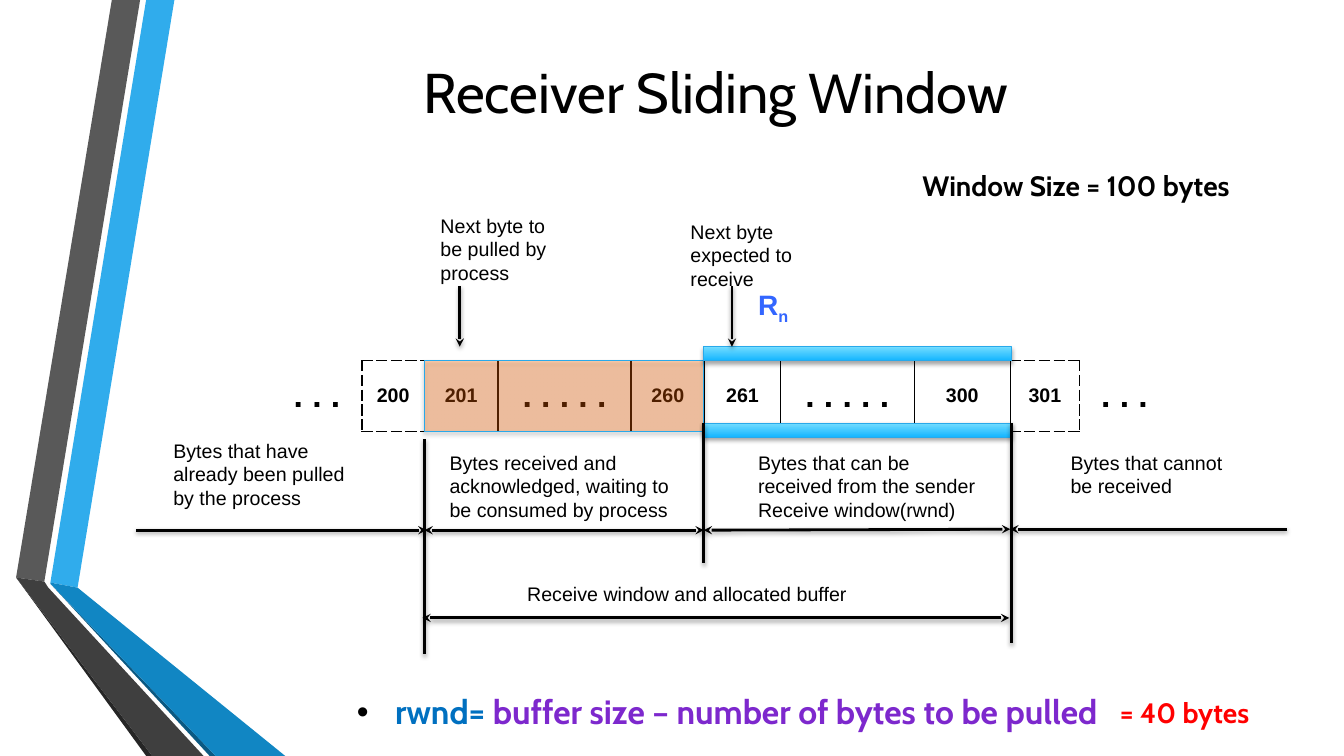
from lxml.etree import SubElement
from pptx import Presentation
from pptx.dml.color import RGBColor
from pptx.enum.shapes import MSO_CONNECTOR, MSO_SHAPE
from pptx.enum.text import MSO_ANCHOR, MSO_AUTO_SIZE, PP_ALIGN
from pptx.oxml.ns import qn
from pptx.util import Inches, Pt

COLORS = {
    "black": "000000", "red": "FF0000", "blue": "0070C0", "purple": "7D28CD",
    "label_blue": "3366FF", "outline": "29A9EA", "orange": "FF6600",
    "bar_dark": "13B5FF", "bar_light": "73DCFF",
    "sky": "30ACEC", "grey": "595959", "shade": "262626",
    "navy": "0B5982", "ocean": "1186C3", "charcoal": "3F3F3F",
}

# Ribbon facets on the left edge, back to front
RIBBONS = [
    ("sky", [(0.5, 5.78), (0.77, 5.83), (1.73, 0), (1.45, 0)]),
    ("grey", [(1.39, 0), (1.11, 0), (0.16, 5.73), (0.44, 5.77)]),
    ("shade", [(0.16, 5.73), (1.45, 7.5), (1.51, 7.5)]),
    ("navy", [(0.5, 5.79), (2.08, 7.5), (2.14, 7.5)]),
    ("ocean", [(0.5, 5.79), (2.14, 7.5), (2.83, 7.5), (0.77, 5.83), (0.5, 5.78)]),
    ("charcoal", [(2.02, 7.5), (0.48, 5.83), (0.44, 5.77), (0.16, 5.73), (1.51, 7.5)]),
]

# Byte cells: text, width, borders (left, right, top, bottom)
SOLID = ("solid",) * 4
CELLS = [
    (". . .", 0.89, (None, "dash", None, None)),
    ("200", 0.62, ("dash", "solid", "dash", "dash")),
    ("201", 0.73, SOLID),
    (". . . . .", 1.32, SOLID),
    ("260", 0.73, SOLID),
    ("261", 0.75, SOLID),
    (". . . . .", 1.33, SOLID),
    ("300", 0.95, SOLID),
    ("301", 0.69, ("solid", "dash", "dash", "dash")),
    (". . .", 0.89, ("dash", None, None, None)),
]

# Labels: left, top, width, height, lines
LABELS = [
    (1.62, 4.3, 2.08, 0.81, ["Bytes that have already been pulled by the process"]),
    (4.36, 4.42, 2.39, 1.04,
     ["Bytes received and acknowledged, waiting to be consumed by process"]),
    (7.42, 4.42, 2.36, 0.81,
     ["Bytes that can be received from the sender", "Receive window(rwnd)"]),
    (10.52, 4.42, 1.74, 0.57, ["Bytes that cannot be received"]),
    (5.13, 5.72, 4.56, 0.34, ["Receive window and allocated buffer"]),
    (4.27, 2.07, 1.32, 0.81, ["Next byte to be pulled by process"]),
    (6.75, 2.13, 1.32, 0.81, ["Next byte expected to receive"]),
]

# Lines: start, end, arrow at start, arrow at end
LINES = [
    ((4.21, 4.36), (4.21, 6.49), False, False),
    ((6.98, 4.2), (6.98, 5.59), False, False),
    ((10.03, 4.2), (10.03, 6.38), False, False),
    ((4.56, 2.84), (4.56, 3.44), False, True),
    ((7.26, 2.84), (7.26, 3.44), False, True),
    ((1.35, 5.26), (4.23, 5.26), False, True),
    ((4.21, 5.26), (6.98, 5.26), True, True),
    ((6.98, 5.26), (10.02, 5.25), True, True),
    ((12.76, 5.25), (10.02, 5.25), False, True),
    ((4.19, 6.13), (10.01, 6.13), True, True),
]


def rgb(name):
    return RGBColor.from_string(COLORS[name])


def style(span, size, color="black", font="Arial", bold=False):
    span.font.size = Pt(size)
    span.font.name = font
    span.font.bold = bold
    span.font.color.rgb = rgb(color)


def add_shadow(effects, alpha, distance):
    shadow = SubElement(effects, qn("a:outerShdw"), blurRad=str(Pt(3.1)),
                        dist=str(Pt(distance)), dir="5400000", rotWithShape="0")
    color = SubElement(shadow, qn("a:srgbClr"), val=COLORS["black"])
    SubElement(color, qn("a:alpha"), val=str(alpha * 1000))


def add_ribbon(slide, color, points):
    corners = [(Inches(x), Inches(y)) for x, y in points]
    builder = slide.shapes.build_freeform(*corners[0])
    builder.add_line_segments(corners[1:], close=True)
    ribbon = builder.convert_to_shape()
    ribbon.shadow.inherit = False
    ribbon.fill.solid()
    ribbon.fill.fore_color.rgb = rgb(color)
    ribbon.line.fill.background()


def add_text(slide, left, top, width, height, lines):
    """Each line is a list of (text, style options)."""
    box = slide.shapes.add_textbox(Inches(left), Inches(top), Inches(width), Inches(height))
    frame = box.text_frame
    frame.word_wrap = True
    frame.auto_size = MSO_AUTO_SIZE.SHAPE_TO_FIT_TEXT
    for index, spans in enumerate(lines):
        para = frame.add_paragraph() if index else frame.paragraphs[0]
        for text, options in spans:
            span = para.add_run()
            span.text = text
            style(span, **options)
    return box


def add_bullet(para, indent):
    properties = para._p.get_or_add_pPr()
    properties.set("marL", str(Inches(indent)))
    properties.set("indent", str(-Inches(indent)))
    color = SubElement(properties, qn("a:buClr"))
    SubElement(color, qn("a:srgbClr"), val=COLORS["black"])
    SubElement(properties, qn("a:buFont"), typeface="Arial")
    SubElement(properties, qn("a:buChar"), char="•")


def set_borders(cell, borders):
    properties = cell._tc.get_or_add_tcPr()
    for side, dash in zip("LRTB", borders):
        line = SubElement(properties, qn(f"a:ln{side}"), w=str(Pt(1)))
        if dash is None:
            SubElement(line, qn("a:noFill"))
            continue
        fill = SubElement(line, qn("a:solidFill"))
        SubElement(fill, qn("a:srgbClr"), val=COLORS["black"])
        SubElement(line, qn("a:prstDash"), val=dash)


def add_byte_table(slide):
    total = sum(width for _, width, _ in CELLS)
    table = slide.shapes.add_table(1, len(CELLS), Inches(2.7), Inches(3.58),
                                   Inches(total), Inches(0.7)).table
    table.first_row = table.horz_banding = False
    for index, (text, width, borders) in enumerate(CELLS):
        table.columns[index].width = Inches(width)
        cell = table.cell(0, index)
        set_borders(cell, borders)
        cell.fill.background()
        cell.vertical_anchor = MSO_ANCHOR.MIDDLE
        para = cell.text_frame.paragraphs[0]
        para.text = text
        para.alignment = PP_ALIGN.CENTER
        style(para.runs[0], 14 if text.isdigit() else 24, bold=True)


def add_block(slide, left, top, width, height):
    block = slide.shapes.add_shape(MSO_SHAPE.RECTANGLE, Inches(left), Inches(top),
                                   Inches(width), Inches(height))
    block.line.color.rgb = rgb("outline")
    block.line.width = Pt(0.75)
    block.shadow.inherit = False
    add_shadow(block._element.spPr.find(qn("a:effectLst")), 34, 1.8)
    return block


def add_window_bar(slide, top):
    bar = add_block(slide, 6.98, top, 3.05, 0.14)
    bar.fill.gradient()
    bar.fill.gradient_angle = 90
    for stop, color in zip(bar.fill.gradient_stops, ("bar_dark", "bar_light")):
        stop.color.rgb = rgb(color)


def add_waiting_block(slide):
    block = add_block(slide, 4.21, 3.58, 2.77, 0.7)
    block.fill.solid()
    block.fill.fore_color.rgb = rgb("orange")
    color = block._element.spPr.find(qn("a:solidFill"))[0]
    SubElement(color, qn("a:alpha"), val="31000")


def add_line(slide, start, end, head, tail):
    ends = [Inches(value) for value in (*start, *end)]
    connector = slide.shapes.add_connector(MSO_CONNECTOR.STRAIGHT, *ends)
    connector.line.color.rgb = rgb("black")
    connector.line.width = Pt(2)
    line = connector.line._get_or_add_ln()
    for tag, shown in (("a:headEnd", head), ("a:tailEnd", tail)):
        if shown:
            SubElement(line, qn(tag), type="stealth")
    add_shadow(SubElement(connector._element.spPr, qn("a:effectLst")), 36, 1.6)


def set_title(slide, text):
    title = slide.shapes.title
    title.left, title.top = Inches(1.62), Inches(0.4)
    title.width, title.height = Inches(10.96), Inches(1)
    title.text_frame.text = text
    title.text_frame.vertical_anchor = MSO_ANCHOR.MIDDLE
    para = title.text_frame.paragraphs[0]
    para.alignment = PP_ALIGN.CENTER
    style(para.runs[0], 40, font="Cabin")


def main():
    deck = Presentation()
    deck.slide_width, deck.slide_height = Inches(13.33), Inches(7.5)
    slide = deck.slides.add_slide(deck.slide_layouts[5])

    # Side decoration and title
    for color, points in RIBBONS:
        add_ribbon(slide, color, points)
    set_title(slide, "Receiver Sliding Window")

    # Byte buffer with the window marked on it
    add_byte_table(slide)
    add_waiting_block(slide)
    for top in (3.44, 4.2):
        add_window_bar(slide, top)
    for line in LINES:
        add_line(slide, *line)

    # Labels
    for *place, lines in LABELS:
        add_text(slide, *place, [[(text, {"size": 14})] for text in lines])
    receive_next = {"size": 20, "color": "label_blue", "bold": True}
    box = add_text(slide, 7.42, 2.8, 0.54, 0.44, [[("R", receive_next), ("n", receive_next)]])
    box.text_frame.paragraphs[0].runs[1].font._element.set("baseline", "-25000")

    # Window size and formula
    strong = {"font": "Cabin", "bold": True}
    add_text(slide, 9.05, 1.62, 3.86, 0.44,
             [[("Window Size = 100 bytes", {"size": 20, **strong})]])
    formula = add_text(slide, 3.44, 6.81, 9.32, 0.5, [[
        ("rwnd= ", {"size": 24, "color": "blue", **strong}),
        ("buffer size – number of bytes to be pulled",
         {"size": 24, "color": "purple", **strong})]])
    add_bullet(formula.text_frame.paragraphs[0], 0.38)
    add_text(slide, 11.01, 6.85, 1.74, 0.44,
             [[("= 40 bytes", {"size": 20, "color": "red", **strong})]])

    deck.save("out.pptx")


if __name__ == "__main__":
    main()
